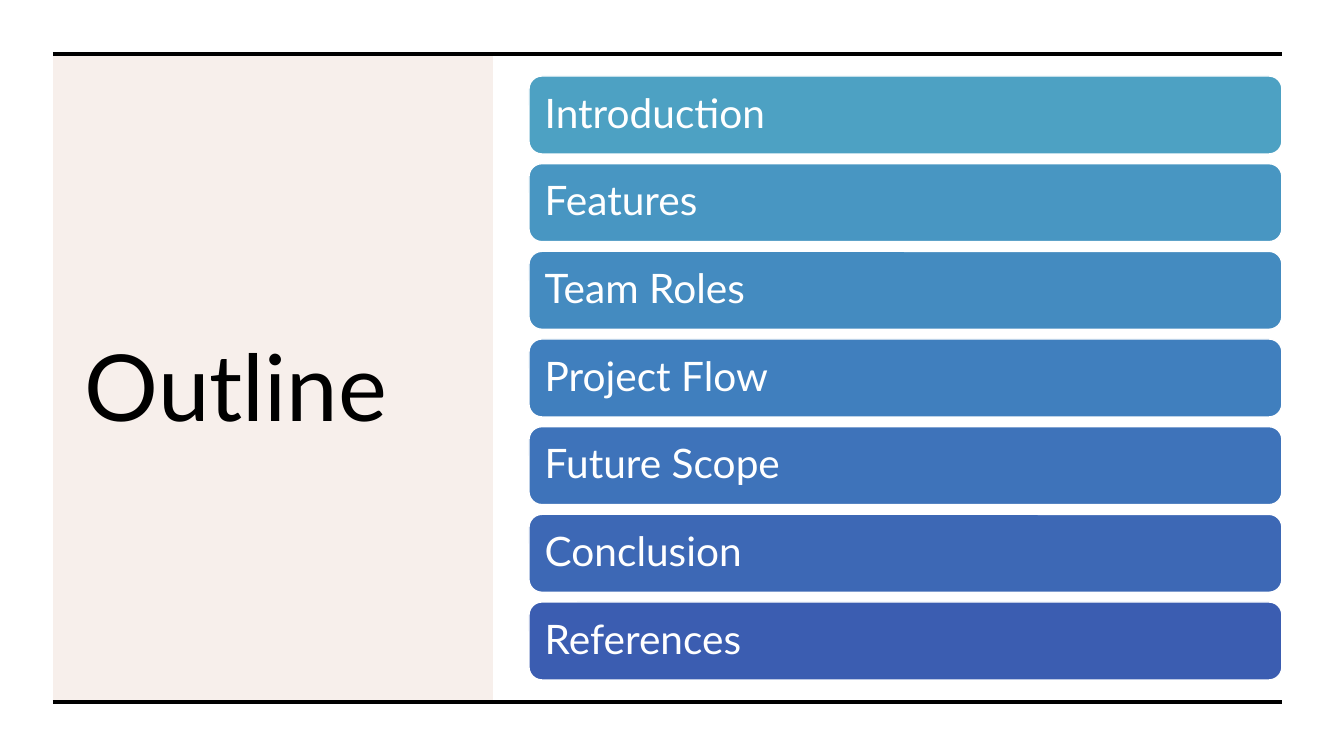
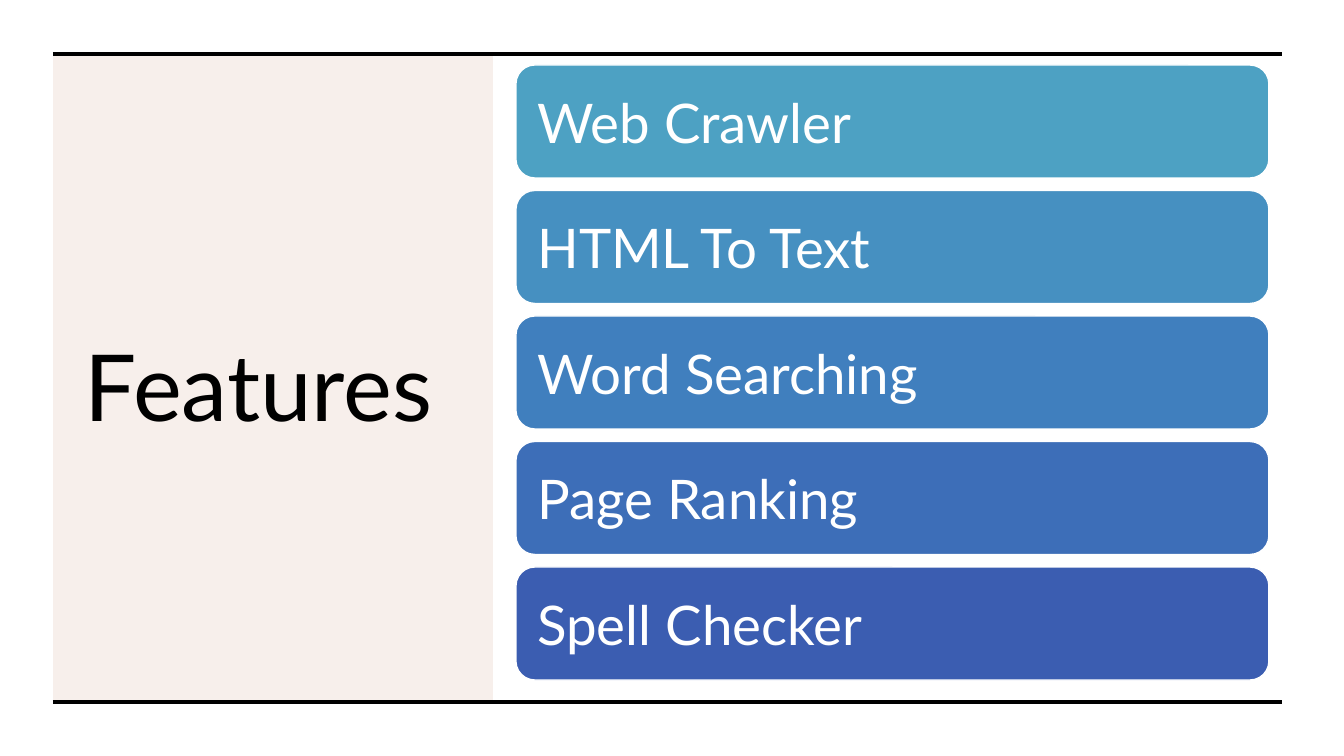
from dataclasses import dataclass
from typing import Any

from lxml.etree import SubElement
from pptx import Presentation
from pptx.dml.color import RGBColor
from pptx.enum.shapes import MSO_CONNECTOR, MSO_SHAPE
from pptx.enum.text import MSO_ANCHOR, PP_ALIGN
from pptx.oxml.ns import qn
from pptx.slide import Slide
from pptx.text.text import TextFrame
from pptx.util import Emu, Pt

# Shared style
PIXEL = 914400 / 100.8
PAGE_WIDTH, PAGE_HEIGHT = 1344, 756
COLORS = {
    "text": "000000",
    "rule": "000000",
    "panel": "B1653B",
    "white": "FFFFFF",
    "teal": "4DA1C3",
    "sky": "4896C2",
    "azure": "4690C1",
    "cerulean": "448BC0",
    "blue": "407FBE",
    "cobalt": "3E73BA",
    "royal": "3D6EB8",
    "sapphire": "3D68B5",
    "indigo": "3B5DB1",
}
PANEL_OPACITY = 10
TITLE_FONT = {"name": "Lato", "size": Pt(66)}
TITLE_INSET = 10
RULE_LEFT, RULE_RIGHT = 53, 1282
RULE_TOPS = (54, 702)


@dataclass(frozen=True)
class Box:
    left: int
    top: int
    width: int
    height: int


@dataclass(frozen=True)
class Bar:
    label: str
    color: str


@dataclass(frozen=True)
class Topic:
    title: str
    first_bar: Box
    last_top: int
    inset: int
    font_size: int
    line_spacing: float
    bars: tuple[Bar, ...]


PANEL = Box(53, 54, 440, 647)
TITLE = Box(75, 108, 392, 554)

TOPICS = (
    Topic("Outline", Box(529, 76, 753, 78), 602, 12, 29, 0.9, (
        Bar("Introduction", "teal"),
        Bar("Features", "sky"),
        Bar("Team Roles", "cerulean"),
        Bar("Project Flow", "blue"),
        Bar("Future Scope", "cobalt"),
        Bar("Conclusion", "sapphire"),
        Bar("References", "indigo"),
    )),
    Topic("Features", Box(516, 65, 753, 113), 567, 16, 39, 1.0, (
        Bar("Web Crawler", "teal"),
        Bar("HTML To Text", "azure"),
        Bar("Word Searching", "blue"),
        Bar("Page Ranking", "royal"),
        Bar("Spell Checker", "indigo"),
    )),
)


def px(pixels: float) -> Emu:
    return Emu(round(pixels * PIXEL))


def rgb(name: str) -> RGBColor:
    return RGBColor.from_string(COLORS[name])


def place(box: Box) -> tuple[Emu, Emu, Emu, Emu]:
    return px(box.left), px(box.top), px(box.width), px(box.height)


def set_all(target: Any, values: dict[str, Any]) -> None:
    for name, value in values.items():
        setattr(target, name, value)


def write(frame: TextFrame, text: str, font: dict[str, Any], color: str,
          inset: int, line_spacing: float = 1.0) -> None:
    margins = {f"margin_{side}": px(inset) for side in ("left", "top", "right", "bottom")}
    set_all(frame, {"word_wrap": True, "vertical_anchor": MSO_ANCHOR.MIDDLE, **margins})
    para = frame.paragraphs[0]
    set_all(para, {"alignment": PP_ALIGN.LEFT, "line_spacing": line_spacing})
    span = para.add_run()
    span.text = text
    set_all(span.font, font)
    span.font.color.rgb = rgb(color)


def draw_panel(page: Slide) -> None:
    panel = page.shapes.add_shape(MSO_SHAPE.RECTANGLE, *place(PANEL))
    panel.shadow.inherit = False
    panel.fill.solid()
    panel.fill.fore_color.rgb = rgb("panel")
    panel.line.fill.background()
    color = panel.element.spPr.find(qn("a:solidFill")).find(qn("a:srgbClr"))
    SubElement(color, qn("a:alpha"), val=str(PANEL_OPACITY * 1000))


def draw_rule(page: Slide, top: int) -> None:
    rule = page.shapes.add_connector(
        MSO_CONNECTOR.STRAIGHT, px(RULE_LEFT), px(top), px(RULE_RIGHT), px(top))
    rule.line.color.rgb = rgb("rule")
    rule.line.width = Pt(2.25)
    SubElement(rule.element.spPr, qn("a:effectLst"))


def draw_bars(page: Slide, topic: Topic) -> None:
    first = topic.first_bar
    step = (topic.last_top - first.top) / (len(topic.bars) - 1)
    font = {"name": "Lato", "size": Pt(topic.font_size)}
    for index, bar in enumerate(topic.bars):
        shape = page.shapes.add_shape(MSO_SHAPE.ROUNDED_RECTANGLE, *place(first))
        shape.top = px(first.top + index * step)
        shape.shadow.inherit = False
        shape.fill.solid()
        shape.fill.fore_color.rgb = rgb(bar.color)
        shape.line.color.rgb = rgb("white")
        shape.line.width = Pt(1)
        write(shape.text_frame, bar.label, font, "white", topic.inset, topic.line_spacing)


# Build the deck
deck = Presentation()
deck.slide_width, deck.slide_height = px(PAGE_WIDTH), px(PAGE_HEIGHT)
blank = deck.slide_layouts[6]

for topic in TOPICS:
    page = deck.slides.add_slide(blank)
    draw_panel(page)
    title = page.shapes.add_textbox(*place(TITLE))
    write(title.text_frame, topic.title, TITLE_FONT, "text", TITLE_INSET)
    for top in RULE_TOPS:
        draw_rule(page, top)
    draw_bars(page, topic)

deck.save("out.pptx")
